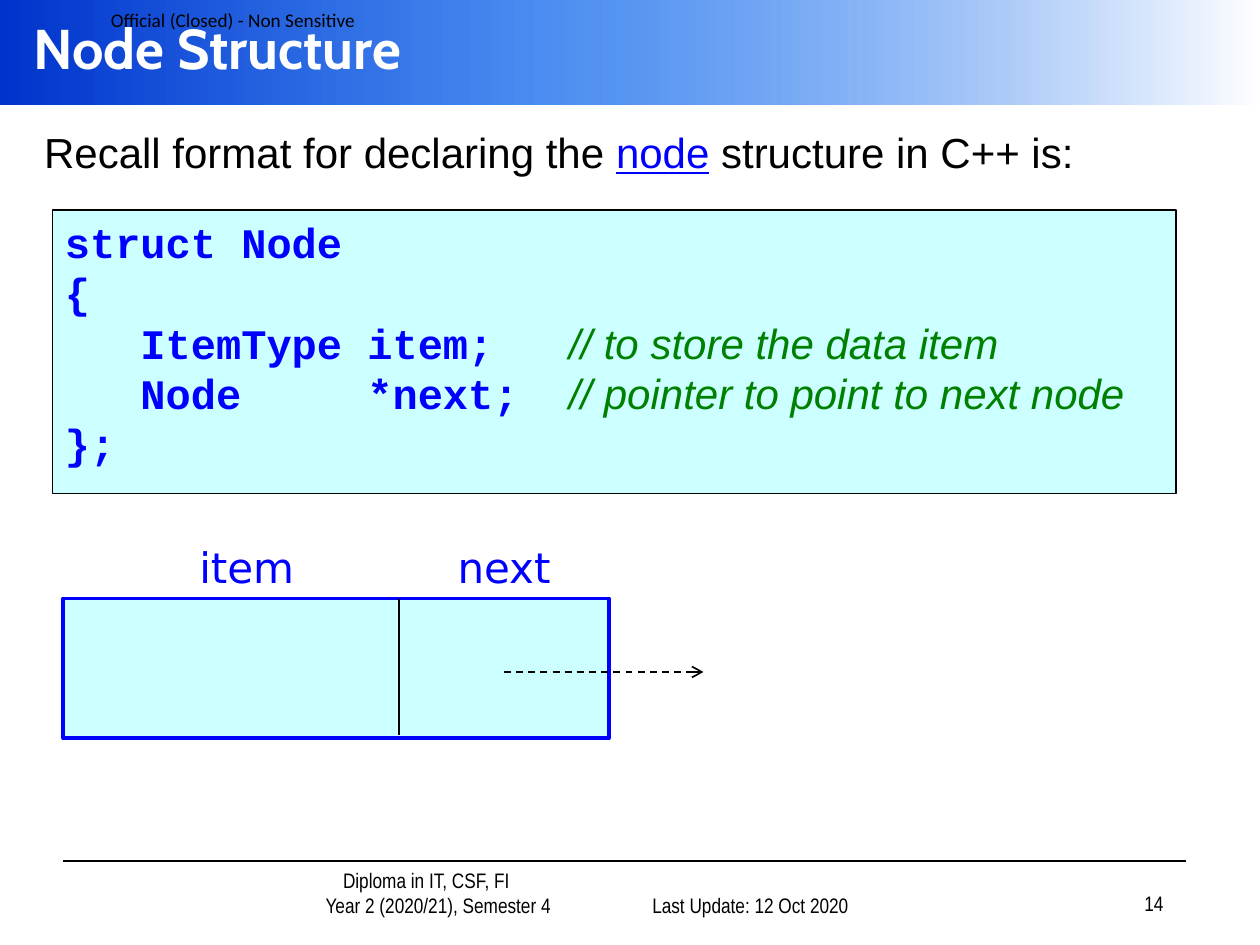
from lxml import etree
from pptx import Presentation
from pptx import util as u
from pptx.dml.color import RGBColor
from pptx.enum import dml, shapes, text
from pptx.oxml import parse_xml
from pptx.oxml.ns import nsdecls, qn

BLACK, WHITE, BLUE, GREEN, CYAN = "000000", "FFFFFF", "0000FF", "008000", "CCFFFF"
LEFT, CENTER, RIGHT = text.PP_ALIGN.LEFT, text.PP_ALIGN.CENTER, text.PP_ALIGN.RIGHT
TOP, MIDDLE, BOTTOM = text.MSO_ANCHOR.TOP, text.MSO_ANCHOR.MIDDLE, text.MSO_ANCHOR.BOTTOM


def color(value):
    return RGBColor.from_string(value)


def add_span(para, words, font="Arial", size=24, ink=BLACK, bold=False, italic=False, underline=False):
    span = para.add_run()
    span.text = words
    style = span.font
    style.name, style.size = font, u.Pt(size)
    style.bold, style.italic, style.underline = bold, italic, underline
    style.color.rgb = color(ink)


class Board:
    columns, rows = 120, 90
    code = dict(font="Courier New", ink=BLUE, bold=True)
    comment = dict(ink=GREEN, italic=True)
    label = dict(font="DejaVu Sans", ink=BLUE)
    footer = dict(font="Arial Narrow", size=12)

    def __init__(self, deck):
        self.deck = deck
        self.page = deck.slides.add_slide(deck.slide_layouts[1])

    def place(self, column, row, wide=0, high=0):
        across = self.deck.slide_width / self.columns
        down = self.deck.slide_height / self.rows
        return [round(v) for v in (column * across, row * down, wide * across, high * down)]

    def fill_text(self, box, lines, align=LEFT, anchor=TOP, indents=(0,), hanging=0, spacing=None):
        frame = box.text_frame
        frame.word_wrap = True
        frame.auto_size = text.MSO_AUTO_SIZE.NONE
        frame.vertical_anchor = anchor
        for index, spans in enumerate(lines):
            para = frame.paragraphs[0] if index == 0 else frame.add_paragraph()
            para.alignment = align
            para.line_spacing = spacing
            properties = para._p.get_or_add_pPr()
            properties.set("marL", str(u.Inches(indents[index % len(indents)])))
            properties.set("indent", str(u.Inches(-hanging)))
            etree.SubElement(properties, qn("a:buNone"))
            for words, style in spans:
                add_span(para, words, **style)

    def placeholder(self, index, area, lines, **layout):
        box = self.page.placeholders[index]
        box.left, box.top, box.width, box.height = self.place(*area)
        self.page.shapes._spTree.append(box._element)
        self.fill_text(box, lines, **layout)

    def text_box(self, area, lines, inset=None, **layout):
        box = self.page.shapes.add_textbox(*self.place(*area))
        if inset is not None:
            frame = box.text_frame
            frame.margin_left = frame.margin_right = frame.margin_top = frame.margin_bottom = inset
        self.fill_text(box, lines, **layout)

    def rectangle(self, area, fill=None, line=None, width=1, lines=()):
        box = self.page.shapes.add_shape(shapes.MSO_SHAPE.RECTANGLE, *self.place(*area))
        box.shadow.inherit = False
        if fill:
            box.fill.solid()
            box.fill.fore_color.rgb = color(fill)
        if line:
            box.line.color.rgb = color(line)
            box.line.width = u.Pt(width)
        else:
            box.line.fill.background()
        if lines:
            self.fill_text(box, lines)
        return box

    def band(self, area, stops):
        box = self.rectangle(area)
        box.fill.gradient()
        box.fill.gradient_angle = 0
        stop_list = box._element.spPr.find(qn("a:gradFill")).find(qn("a:gsLst"))
        for stop in list(stop_list):
            stop_list.remove(stop)
        for position, value, alpha in stops:
            stop_list.append(parse_xml(
                f'<a:gs {nsdecls("a")} pos="{position * 1000}"><a:srgbClr val="{value}">'
                f'<a:alpha val="{alpha * 1000}"/></a:srgbClr></a:gs>'))

    def line(self, start, end, arrow=False):
        ends = self.place(*start)[:2] + self.place(*end)[:2]
        link = self.page.shapes.add_connector(shapes.MSO_CONNECTOR.STRAIGHT, *ends)
        link.line.color.rgb = color(BLACK)
        link.line.width = u.Pt(1)
        if arrow:
            link.line.dash_style = dml.MSO_LINE.DASH
            etree.SubElement(link.line._get_or_add_ln(), qn("a:tailEnd"), type="arrow")
        etree.SubElement(link._element.spPr, qn("a:effectLst"))


def main():
    deck = Presentation()
    deck.slide_width, deck.slide_height = u.Inches(10), u.Inches(7.5)
    board = Board(deck)
    code, comment, footer = board.code, board.comment, board.footer

    board.text_box((20.2, 83, 34.8, 5),
                   [[("Diploma in IT, CSF, FI", footer)], [("Year 2 (2020/21), Semester 4", footer)]],
                   align=CENTER, anchor=BOTTOM, indents=(0.5, 0.69))
    board.line((6, 82), (113, 82))
    board.band((0, 0, 120, 10), [(0, "0033CC", 100), (43, "005EEB", 70), (100, WHITE, 100)])
    for column, row, words in ((57, 83, "Last Update: 12 Oct 2020"), (87, 82.8, "14")):
        board.text_box((column, row, 25, 5), [[(words, footer)]], align=RIGHT, anchor=BOTTOM)
    board.text_box((0, 0, 36, 3.7),
                   [[("Official (Closed) - Non Sensitive", dict(font="Calibri", size=11))]],
                   inset=0, anchor=MIDDLE, indents=(0.88,))

    board.placeholder(0, (2, 0, 118, 9),
                      [[("Node Structure", dict(font="Cabin", size=32, ink=WHITE, bold=True))]],
                      anchor=MIDDLE)
    board.placeholder(1, (3, 12, 115, 8),
                      [[("Recall format for declaring the ", {}),
                        ("node", dict(ink=BLUE, underline=True)),
                        (" structure in C++ is:", {})]],
                      indents=(0.38,), hanging=0.38, spacing=0.9)

    board.rectangle((6, 57, 52, 13.3), CYAN, BLUE, 2)
    board.line((38, 57), (38, 70))
    for column, wide, words in ((14, 19, "item"), (40, 16, "next")):
        board.text_box((column, 51, wide, 6), [[(words, board.label)]], align=CENTER)
    board.line((48, 64), (67, 64), arrow=True)

    board.rectangle((5, 20, 107, 27), CYAN, BLACK, 0.75, [
        [("struct Node", code)],
        [("{", code)],
        [("   ItemType item;   ", code), ("// to store the data item", comment)],
        [("   Node     *next;  ", code), ("// pointer to point to next node", comment)],
        [("};", code)],
    ])
    deck.save("out.pptx")


if __name__ == "__main__":
    main()
